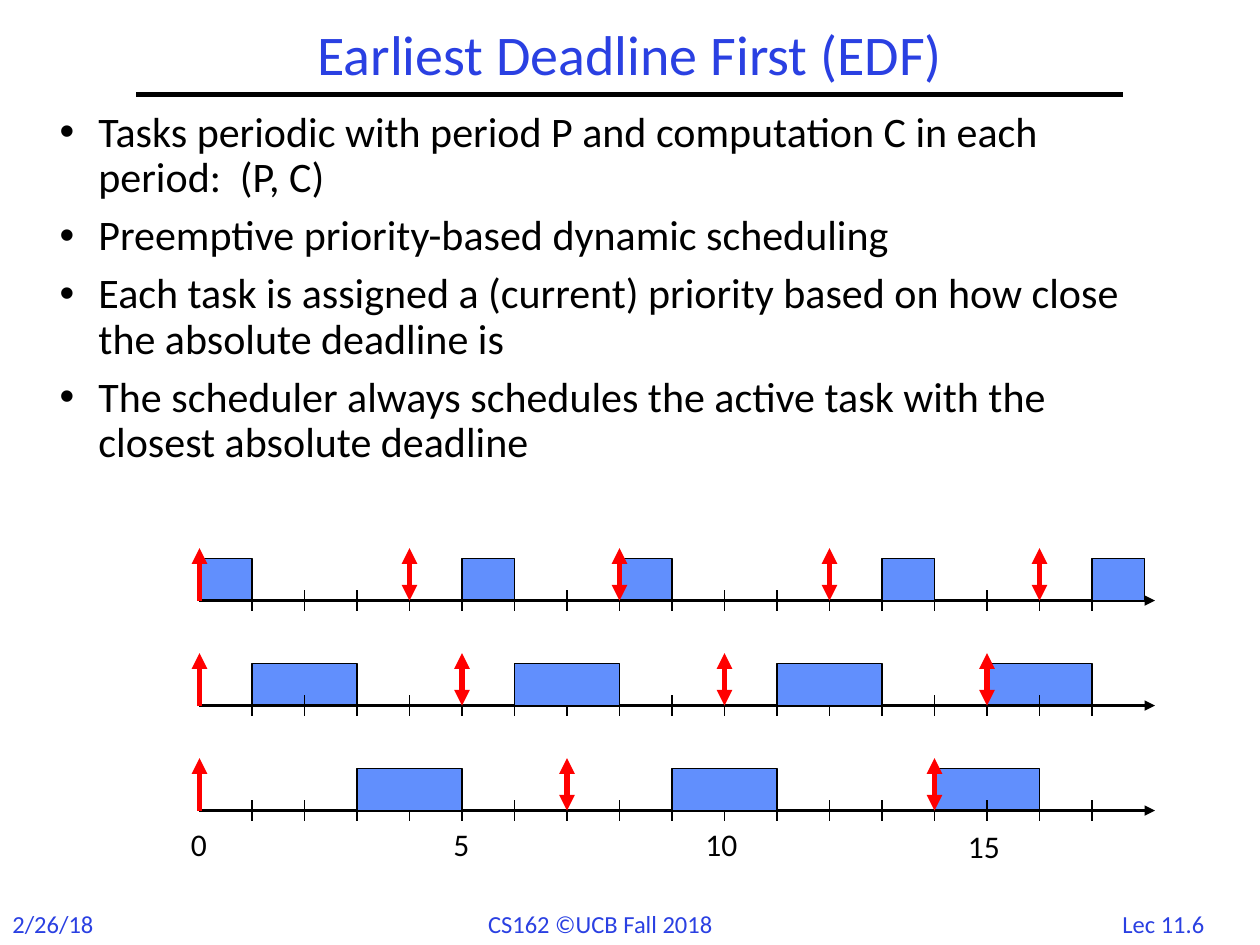
from lxml.etree import SubElement
from pptx import Presentation
from pptx.dml.color import RGBColor
from pptx.enum.shapes import MSO_CONNECTOR, MSO_SHAPE
from pptx.enum.text import MSO_ANCHOR, PP_ALIGN
from pptx.oxml.ns import qn
from pptx.util import Pt

# Content
TITLE = "Earliest Deadline First (EDF)"
BULLETS = [
    "Tasks periodic with period P and computation C in each period:  (P, C)",
    "Preemptive priority-based dynamic scheduling",
    "Each task is assigned a (current) priority based on how close the absolute deadline is",
    "The scheduler always schedules the active task with the closest absolute deadline",
]
# Footer: text, left, width, alignment
FOOTERS = [
    ("2/26/18", 0, 120, PP_ALIGN.LEFT),
    ("CS162 ©UCB Fall 2018", 453, 250, PP_ALIGN.LEFT),
    ("Lec 11.6", 1046, 124, PP_ALIGN.CENTER),
]
# Runs start at these times; "under" ones lie behind the axis ticks
TASKS = [
    {"period": 4, "cost": 1, "under": [0, 5, 8], "over": [13, 17]},
    {"period": 5, "cost": 2, "under": [1, 15], "over": [6, 11]},
    {"period": 7, "cost": 2, "under": [14], "over": [3, 9]},
]
# Time label: text, left, top
TIME_LABELS = [("0", 170, 780), ("5", 420, 780), ("10", 660, 780), ("15", 910, 782)]

COLORS = {"heading": "2A40E2", "text": "000000", "run": "618FFD", "deadline": "FF0000"}
FONT = "Calibri"

# Geometry in px, 120 to the inch
EMU_PER_PX = 914400 // 120
ORIGIN, UNIT, AXIS_END, LAST_TICK = 190, 50, 1100, 17
FIRST_AXIS, ROW_GAP = 572, 100
RUN_HEIGHT, ARROW_HEIGHT, TICK = 40, 50, 10
BULLET_INDENT = 37


def px(value):
    return round(value * EMU_PER_PX)


def color(name):
    return RGBColor.from_string(COLORS[name])


def time_x(time):
    return ORIGIN + time * UNIT


def add_text(text, left, top, width, height, size, color_name="text",
             align=PP_ALIGN.LEFT, wrap=True):
    box = slide.shapes.add_textbox(px(left), px(top), px(width), px(height))
    frame = box.text_frame
    frame.word_wrap = wrap
    fill_paragraph(frame.paragraphs[0], text, size, color_name, align)
    return frame


def fill_paragraph(paragraph, text, size, color_name, align=PP_ALIGN.LEFT):
    paragraph.alignment = align
    run = paragraph.add_run()
    run.text = text
    run.font.name = FONT
    run.font.size = Pt(size)
    run.font.color.rgb = color(color_name)


def add_line(x1, y1, x2, y2, width, color_name="text", arrows=()):
    line = slide.shapes.add_connector(
        MSO_CONNECTOR.STRAIGHT, px(x1), px(y1), px(x2), px(y2))
    line.line.width = Pt(width)
    line.line.color.rgb = color(color_name)
    outline = line.line._get_or_add_ln()
    for end in arrows:
        SubElement(outline, qn(f"a:{end}"), type="triangle")
    SubElement(line._element.spPr, qn("a:effectLst"))


def add_runs(starts, cost, axis):
    for start in starts:
        block = slide.shapes.add_shape(
            MSO_SHAPE.RECTANGLE, px(time_x(start)), px(axis - RUN_HEIGHT),
            px(cost * UNIT), px(RUN_HEIGHT))
        block.shadow.inherit = False
        block.fill.solid()
        block.fill.fore_color.rgb = color("run")
        block.line.color.rgb = color("text")
        block.line.width = Pt(0.75)


def add_timeline(task, axis):
    add_runs(task["under"], task["cost"], axis)
    add_line(ORIGIN, axis, AXIS_END, axis, 1.5, arrows=["tailEnd"])
    add_line(ORIGIN, axis, ORIGIN, axis - RUN_HEIGHT, 1.5)
    for time in range(1, LAST_TICK + 1):
        add_line(time_x(time), axis - TICK, time_x(time), axis + TICK, 0.75)
    add_runs(task["over"], task["cost"], axis)
    # Release at time 0, then deadline and next release together
    for time in range(0, LAST_TICK, task["period"]):
        arrows = ["headEnd", "tailEnd"] if time else ["tailEnd"]
        add_line(time_x(time), axis, time_x(time), axis - ARROW_HEIGHT, 3,
                 "deadline", arrows)


presentation = Presentation()
presentation.slide_width = px(1200)
presentation.slide_height = px(900)
slide = presentation.slides.add_slide(presentation.slide_layouts[6])

# Footer and title rule
for text, left, width, align in FOOTERS:
    add_text(text, left, 860, width, 40, 14, "heading", align, wrap=False)
add_line(130, 90, 1070, 90, 3)

# Title
title = add_text(TITLE, 130, 20, 940, 70, 32, "heading", PP_ALIGN.CENTER)
title.vertical_anchor = MSO_ANCHOR.MIDDLE
title.paragraphs[0].line_spacing = 0.9

# Bullets
body = add_text(BULLETS[0], 45, 100, 1075, 690, 24)
for text in BULLETS[1:]:
    paragraph = body.add_paragraph()
    fill_paragraph(paragraph, text, 24, "text")
    paragraph.space_before = Pt(7.2)
for paragraph in body.paragraphs:
    paragraph.line_spacing = 0.9
    properties = paragraph._p.get_or_add_pPr()
    properties.set("marL", str(px(BULLET_INDENT)))
    properties.set("indent", str(px(-BULLET_INDENT)))
    SubElement(properties, qn("a:buFont"), typeface="Arial")
    SubElement(properties, qn("a:buChar"), char="•")

# Timelines
for row, task in enumerate(TASKS):
    add_timeline(task, FIRST_AXIS + row * ROW_GAP)
for text, left, top in TIME_LABELS:
    add_text(text, left, top, 80, 48, 18)

presentation.save("out.pptx")
